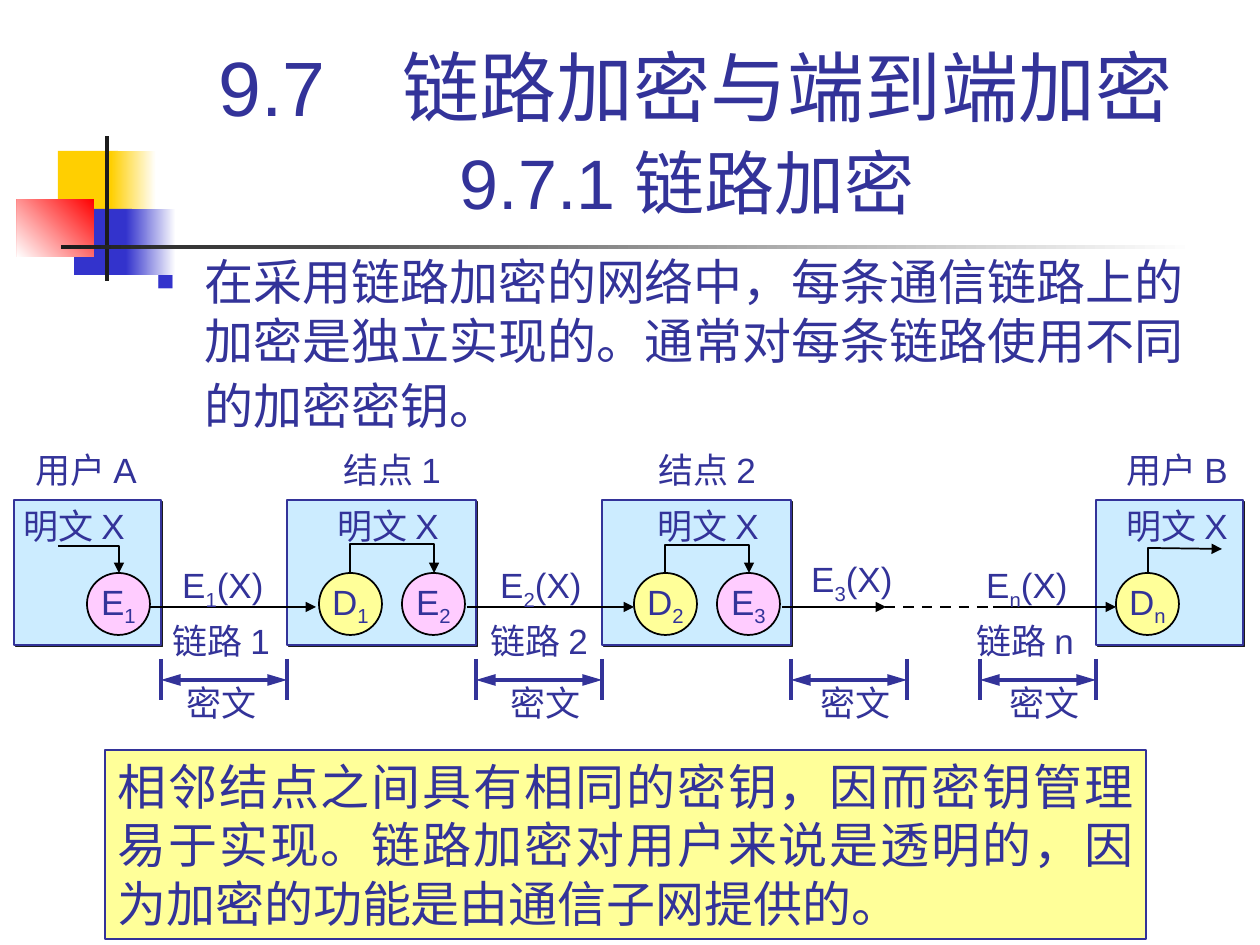
from lxml import etree
from pptx import Presentation
from pptx.dml.color import RGBColor
from pptx.enum.dml import MSO_LINE
from pptx.enum.shapes import MSO_CONNECTOR, MSO_SHAPE
from pptx.enum.text import MSO_ANCHOR, MSO_AUTO_SIZE, PP_ALIGN
from pptx.oxml.ns import qn
from pptx.util import Pt

RECT, OVAL = MSO_SHAPE.RECTANGLE, MSO_SHAPE.OVAL
STRAIGHT, DASH = MSO_CONNECTOR.STRAIGHT, MSO_LINE.DASH
LEFT, MID, JUST = PP_ALIGN.LEFT, PP_ALIGN.CENTER, PP_ALIGN.JUSTIFY
TOP, MIDDLE, BOTTOM = MSO_ANCHOR.TOP, MSO_ANCHOR.MIDDLE, MSO_ANCHOR.BOTTOM
GROW, FIXED = MSO_AUTO_SIZE.SHAPE_TO_FIT_TEXT, MSO_AUTO_SIZE.NONE
SCALE = 914400 / 126
LATIN, ASIAN = "Arial", "Noto Sans CJK SC"
HEX = {"ink": "333399", "black": "000000", "dark": "1C1C1C", "white": "FFFFFF",
       "gold": "FFCF01", "blue": "3333CC", "red": "FF0000",
       "sky": "CCECFF", "lemon": "FFFF99", "pink": "FFCCFF"}


def emu(px):
    return round(px * SCALE)


def rgb(name):
    return RGBColor.from_string(HEX[name])


def node(parent, tag, **attrs):
    return etree.SubElement(parent, qn(tag), attrs)


class Deck:
    def __init__(self, slide):
        self.slide, self.shapes = slide, slide.shapes

    def stroke(self, shape, color, width, ends=(), size="med", dash=None):
        line = shape.line
        line.color.rgb, line.width = rgb(color), Pt(width)
        if dash:
            line.dash_style = dash
        for end in ends:
            node(line._get_or_add_ln(), f"a:{end}End", type="triangle", w="med", len=size)

    def words(self, par, parts, font=LATIN, align=LEFT):
        """Each part is (text, size); the letter after _ is a subscript."""
        par.text = ""
        par.alignment = align
        for text, size in parts:
            if text == "\n":
                par.add_line_break()
                continue
            head, *rest = text.split("_")
            bits = [(head, False)]
            for item in rest:
                bits += [(item[0], True), (item[1:], False)]
            for bit, sub in bits:
                if not bit:
                    continue
                run = par.add_run()
                run.text = bit
                run.font.size, run.font.name = Pt(size), font
                run.font.color.rgb = rgb("ink")
                props = run._r.get_or_add_rPr()
                node(props, "a:ea", typeface=ASIAN)
                if sub:
                    props.set("baseline", "-25000")

    def frame(self, shape, anchor=TOP, wrap=True, fit=FIXED):
        frame = shape.text_frame
        frame.word_wrap, frame.auto_size = wrap, fit
        frame.vertical_anchor = anchor
        return frame

    def holder(self, index, box, anchor):
        shape = self.slide.placeholders[index]
        shape.left, shape.top, shape.width, shape.height = map(emu, box)
        return self.frame(shape, anchor).paragraphs[0]

    def block(self, kind, box, fill, edge=None, width=1, shade=False):
        shape = self.shapes.add_shape(kind, *map(emu, box))
        shape.shadow.inherit = False
        shape.fill.solid()
        shape.fill.fore_color.rgb = rgb(fill)
        if edge:
            self.stroke(shape, edge, width)
        else:
            shape.line.fill.background()
        if shade:
            effects = shape._element.spPr.find(qn("a:effectLst"))
            drop = node(effects, "a:outerShdw", dist="17780", dir="2700000", algn="ctr", rotWithShape="0")
            node(drop, "a:srgbClr", val=HEX["dark"])
        return shape

    def fade(self, box, start, end, angle=0):
        fill = self.block(RECT, box, start).fill
        fill.gradient()
        fill.gradient_angle = angle
        for stop, color in zip(fill.gradient_stops, (start, end)):
            stop.color.rgb = rgb(color)

    def label(self, box, *lines, gap=None):
        frame = self.frame(self.shapes.add_textbox(*map(emu, box)), wrap=False, fit=GROW)
        frame.text = "\n".join(lines)
        for par, text in zip(frame.paragraphs, lines):
            self.words(par, [(text, 20)])
            if gap:
                par.line_spacing = gap

    def circle(self, x, text, fill):
        shape = self.block(OVAL, (x, 573, 63, 62), fill, "black")
        par = self.frame(shape, MIDDLE, wrap=False).paragraphs[0]
        self.words(par, [(text, 20)], align=MID)

    def line(self, x1, y1, x2, y2, color, width, **style):
        shape = self.shapes.add_connector(STRAIGHT, *map(emu, (x1, y1, x2, y2)))
        self.stroke(shape, color, width, **style)
        node(shape._element.spPr, "a:effectLst")

    def bend(self, points):
        first, *rest = [(emu(x), emu(y)) for x, y in points]
        route = self.shapes.build_freeform(*first)
        route.add_line_segments(rest, close=False)
        shape = route.convert_to_shape()
        shape.shadow.inherit = False
        shape.fill.background()
        self.stroke(shape, "black", 1, ["tail"])


def main():
    prs = Presentation()
    prs.slide_width, prs.slide_height = emu(1260), emu(945)
    deck = Deck(prs.slides.add_slide(prs.slide_layouts[1]))

    # Corner ornament and rule
    deck.block(RECT, (58, 151, 60, 66), "gold")
    deck.fade((111, 151, 45, 66), "gold", "white")
    deck.block(RECT, (74, 209, 58, 66), "blue")
    deck.fade((126, 209, 50, 66), "blue", "white")
    deck.fade((17, 199, 77, 58), "red", "white", 225)
    deck.block(RECT, (105, 136, 4, 145), "dark")
    deck.fade((61, 245, 1134, 4), "dark", "white")

    # Title and body
    par = deck.holder(0, (159, 29, 1074, 202), BOTTOM)
    deck.words(par, [("9.7　链路加密与端到端加密", 44), ("\n", 44),
                     ("9.7.1 链路加密", 40), (" ", 44)], align=MID)
    par = deck.holder(1, (144, 245, 1071, 218), TOP)
    deck.words(par, [("在采用链路加密的网络中，每条通信链路上的加密是独立实现的。"
                      "通常对每条链路使用不同的加密密钥。", 28), (" ", 32)])
    par.space_before = Pt(8)
    props = par._p.get_or_add_pPr()
    props.set("marL", str(emu(48)))
    props.set("indent", str(emu(-48)))
    node(node(props, "a:buClr"), "a:srgbClr", val=HEX["blue"])
    node(props, "a:buSzPct", val="60000")
    node(props, "a:buChar", char="■")

    # Users and nodes: left, width, name, name left, plain text left, circles, inner route
    hosts = [
        (287, 189, "结点 1", 331, 325, [(319, "D_1"), (402, "E_2")],
         [(350, 573), (350, 544), (434, 544), (434, 573)]),
        (602, 189, "结点 2", 646, 645, [(634, "D_2"), (717, "E_3")],
         [(665, 573), (665, 545), (749, 545), (749, 573)]),
        (1096, 147, "用户 B", 1114, 1114, [(1116, "D_n")],
         [(1148, 573), (1148, 548), (1222, 549)]),
        (14, 147, "用户 A", 23, 11, [(87, "E_1")],
         [(58, 546), (119, 546), (119, 573)]),
    ]
    for left, width, name, name_x, plain_x, rings, route in hosts:
        deck.block(RECT, (left, 500, width, 145), "sky", "ink", shade=True)
        for x, text in rings:
            deck.circle(x, text, "lemon" if text[0] == "D" else "pink")
        deck.bend(route)
        deck.label((plain_x, 498, 135, 55), "明文 X")
        deck.label((name_x, 442, 135, 55), name)

    # Links: arrow from, arrow to, label left, label top, label lines
    links = [
        (150, 316, 160, 548, " E_1(X)", "链路 1"),
        (467, 634, 478, 548, " E_2(X)", "链路 2"),
        (993, 1116, 964, 548, " E_n(X)", "链路 n"),
        (782, 886, 789, 542, " E_3(X)"),
    ]
    for start, end, x, y, *lines in links:
        deck.line(start, 607, end, 607, "black", 1.5, ends=["tail"])
        deck.label((x, y, 131, 121), *lines, gap=1.2)
    deck.line(885, 607, 992, 607, "black", 1.5, dash=DASH)

    # Ciphertext spans: from, to, label left
    for start, end, x in [(161, 287, 174), (476, 602, 498), (791, 907, 808), (980, 1096, 997)]:
        deck.line(start, 680, end, 680, "ink", 2.25, ends=["head", "tail"], size="lg")
        for edge in (start, end):
            deck.line(edge, 659, edge, 700, "ink", 2.25)
        deck.label((x, 675, 95, 55), "密文")

    # Closing note
    note = deck.block(RECT, (105, 750, 1041, 189), "lemon", "ink", 0.75)
    par = deck.frame(note, fit=GROW).paragraphs[0]
    deck.words(par, [("相邻结点之间具有相同的密钥，因而密钥管理易于实现。链路加密对用户来说是透明的，"
                      "因为加密的功能是由通信子网提供的。", 28)], ASIAN, JUST)

    prs.save("out.pptx")


if __name__ == "__main__":
    main()
